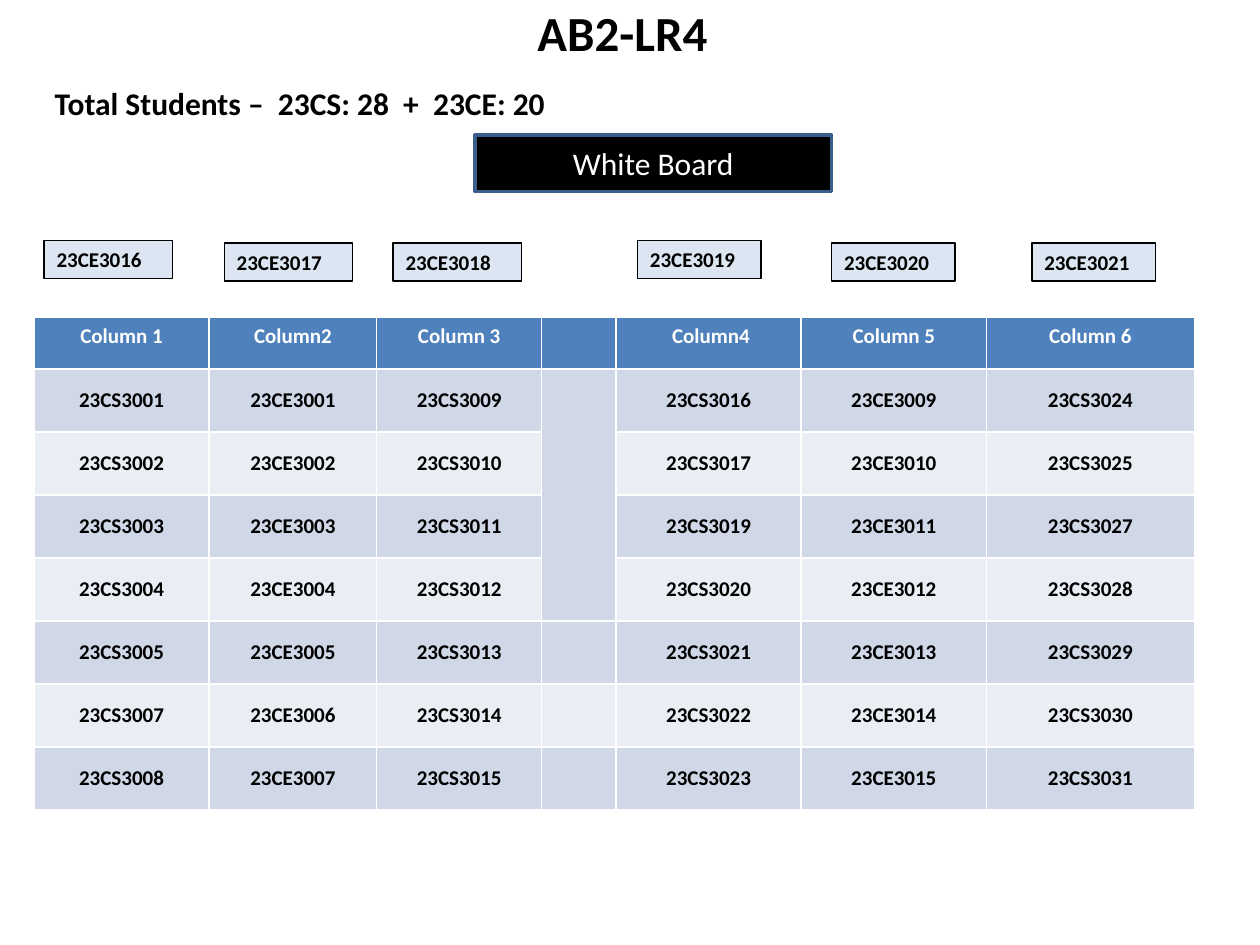
from pptx import Presentation
from pptx.dml.color import RGBColor
from pptx.enum import shapes, text
from pptx.util import Inches, Pt

BLACK = RGBColor(0x00, 0x00, 0x00)
WHITE = RGBColor(0xFF, 0xFF, 0xFF)
BOARD_EDGE = RGBColor(0x3A, 0x5F, 0x8C)
SEAT_FILL = RGBColor(0xDC, 0xE6, 0xF2)
HEADER_FILL = RGBColor(0x4F, 0x81, 0xBD)
BANDS = (RGBColor(0xD0, 0xD8, 0xE8), RGBColor(0xE9, 0xED, 0xF4))

COLUMN_WIDTHS = (1.39, 1.33, 1.31, 0.59, 1.47, 1.47, 1.65)
AISLE = 3
SEATING = (
    ("Column 1", "CS", (3001, 3002, 3003, 3004, 3005, 3007, 3008)),
    ("Column2", "CE", range(3001, 3008)),
    ("Column 3", "CS", range(3009, 3016)),
    ("", "", ()),
    (" Column4", "CS", (3016, 3017, 3019, 3020, 3021, 3022, 3023)),
    ("Column 5", "CE", range(3009, 3016)),
    ("Column 6", "CS", (3024, 3025, 3027, 3028, 3029, 3030, 3031)),
)
FRONT_SEATS = ((0.35, 1.91, 1.02), (1.78, 1.93, 1.02), (3.12, 1.93, 1.02),
               (5.06, 1.91, 0.98), (6.6, 1.93, 0.98), (8.19, 1.93, 0.98))


def write(frame, wording, size, color, bold=True, align=text.PP_ALIGN.CENTER):
    paragraph = frame.paragraphs[0]
    paragraph.text = wording
    paragraph.alignment = align
    font = paragraph.font
    font.name, font.size, font.bold = "Calibri", Pt(size), bold
    font.color.rgb = color


def place_heading(slide, left, top, width, height):
    room = slide.shapes.title
    room.left, room.top = Inches(left), Inches(top)
    room.width, room.height = Inches(width), Inches(height)
    room.text_frame.auto_size = text.MSO_AUTO_SIZE.NONE
    room.text_frame.vertical_anchor = text.MSO_ANCHOR.TOP
    write(room.text_frame, "AB2-LR4", 28, BLACK)


def add_totals(slide, left, top, width, height):
    totals = slide.shapes.add_textbox(
        Inches(left), Inches(top), Inches(width), Inches(height)).text_frame
    totals.word_wrap = True
    write(totals, " Total Students –  23CS: 28  +  23CE: 20", 18, BLACK,
          align=text.PP_ALIGN.LEFT)


def add_box(slide, left, top, width, height, fill, edge, edge_width):
    box = slide.shapes.add_shape(
        shapes.MSO_SHAPE.RECTANGLE,
        Inches(left), Inches(top), Inches(width), Inches(height))
    box.shadow.inherit = False
    box.fill.solid()
    box.fill.fore_color.rgb = fill
    box.line.color.rgb = edge
    box.line.width = Pt(edge_width)
    return box.text_frame


def add_board(slide, left, top, width, height):
    board = add_box(slide, left, top, width, height, BLACK, BOARD_EDGE, 2)
    board.vertical_anchor = text.MSO_ANCHOR.MIDDLE
    write(board, "White Board", 18, WHITE, bold=False)


def add_front_seat(slide, left, top, width, height, student):
    seat = add_box(slide, left, top, width, height, SEAT_FILL, BLACK, 0.75)
    seat.vertical_anchor = text.MSO_ANCHOR.TOP
    write(seat, student, 12, BLACK, align=text.PP_ALIGN.LEFT)


def fill_cell(cell, color):
    cell.fill.solid()
    cell.fill.fore_color.rgb = color


def add_seating(slide, left, top, header_height, row_height):
    row_count = len(BANDS) * 3 + 1
    seating = slide.shapes.add_table(
        row_count + 1, len(SEATING), Inches(left), Inches(top),
        Inches(sum(COLUMN_WIDTHS)),
        Inches(header_height + row_count * row_height)).table
    for row in seating.rows:
        row.height = Inches(row_height)
    seating.rows[0].height = Inches(header_height)
    for col, (heading, branch, numbers) in enumerate(SEATING):
        seating.columns[col].width = Inches(COLUMN_WIDTHS[col])
        header = seating.cell(0, col)
        fill_cell(header, HEADER_FILL)
        if heading:
            write(header.text_frame, heading, 12, WHITE)
        for row in range(1, row_count + 1):
            fill_cell(seating.cell(row, col), BANDS[(row - 1) % 2])
        for row, number in enumerate(numbers, 1):
            seat = seating.cell(row, col)
            seat.vertical_anchor = text.MSO_ANCHOR.MIDDLE
            seat.margin_left = seat.margin_right = Inches(0.03)
            seat.margin_top = seat.margin_bottom = 0
            write(seat.text_frame, f"23{branch}{number}", 12, BLACK)
    seating.cell(1, AISLE).merge(seating.cell(4, AISLE))


def build():
    deck = Presentation()
    deck.slide_width, deck.slide_height = Inches(10), Inches(7.5)
    slide = deck.slides.add_slide(deck.slide_layouts.get_by_name("Title Only"))
    place_heading(slide, -0.01, -0.03, 9.9, 0.57)
    add_board(slide, 3.77, 1.07, 2.83, 0.45)
    add_seating(slide, 0.27, 2.52, 0.41, 0.5)
    add_totals(slide, 0.28, 0.62, 5, 0.4)
    for number, (left, top, width) in enumerate(FRONT_SEATS, 3016):
        add_front_seat(slide, left, top, width, 0.3, f"23CE{number}")
    deck.save("out.pptx")


build()
